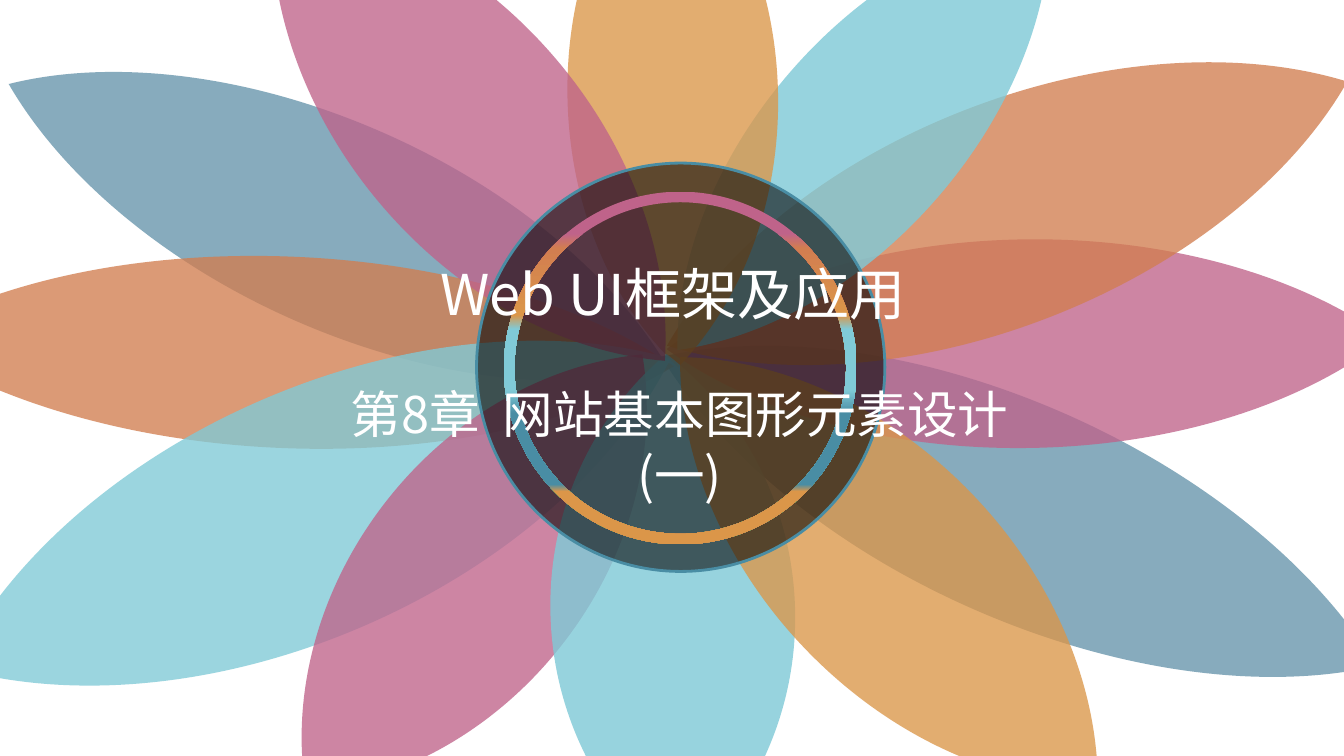
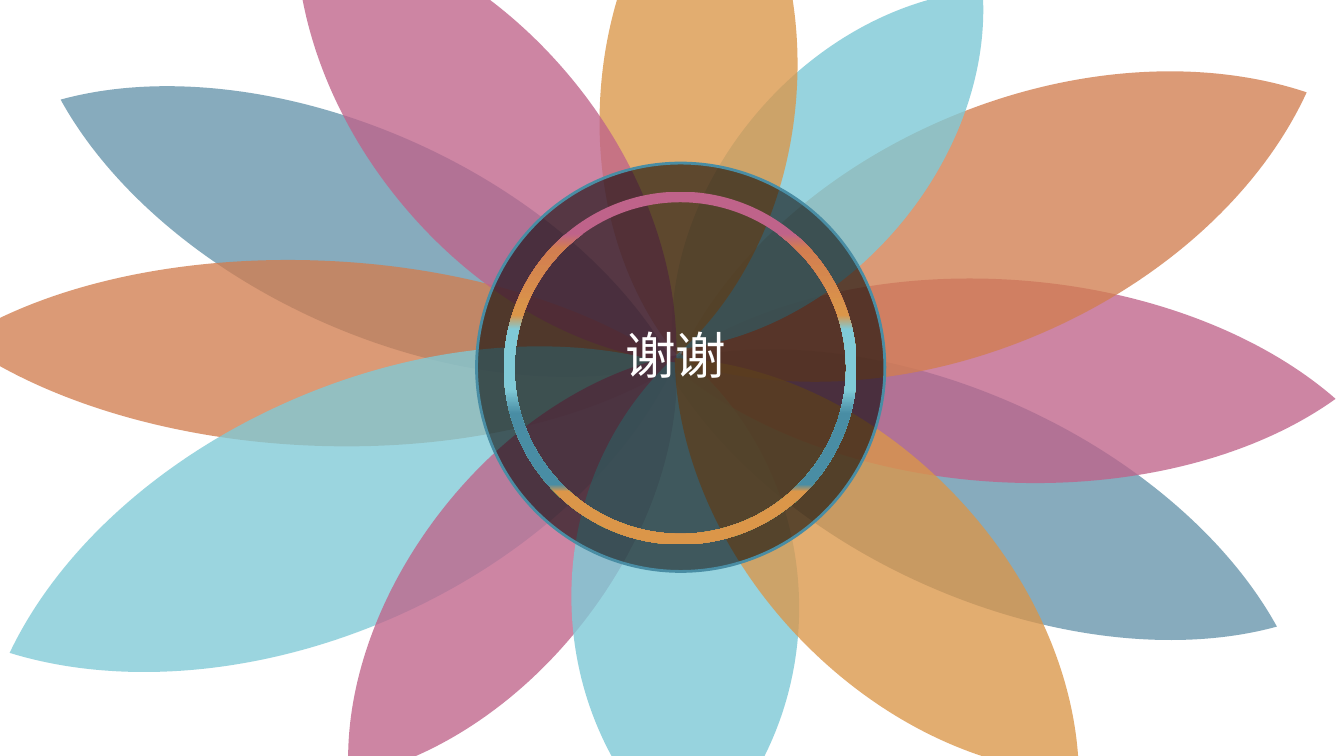
from dataclasses import dataclass

from lxml.etree import SubElement
from pptx import Presentation
from pptx.dml.color import RGBColor
from pptx.enum.shapes import MSO_SHAPE
from pptx.enum.text import MSO_ANCHOR, MSO_AUTO_SIZE, PP_ALIGN
from pptx.oxml.ns import qn
from pptx.util import Cm, Pt

# Shared style
FONT = "Noto Sans CJK SC"
COLORS = {
    "slate": "6694AB", "rust": "D27E50", "pink": "BF638A", "aqua": "80CAD7",
    "amber": "DB9649", "teal": "498DA4", "black": "000000", "white": "FFFFFF",
}
# Colour and opacity (percent) of each petal, from back to front
PETAL_FILLS = [
    ("slate", 78), ("slate", 78), ("rust", 78), ("pink", 78),
    ("aqua", 78), ("rust", 78), ("pink", 78), ("aqua", 81),
    ("amber", 78), ("aqua", 81), ("pink", 78), ("amber", 78),
]
# Half of a petal outline as fractions of its box: top tip, then two Bézier curves
PETAL_TIP = (0.474, 0)
PETAL_SIDE = [(0.794, 0.117), (1, 0.303), (1, 0.512),
              (1, 0.705), (0.82, 0.882), (0.526, 1)]
RING_STOPS = [
    (0, "pink"), (12, "pink"), (16, "rust"), (35, "amber"), (39, "aqua"), (56, "aqua"),
    (63, "teal"), (83, "teal"), (85, "amber"), (100, "amber"),
]
FRAME_FORMAT = {
    "word_wrap": True,
    "auto_size": MSO_AUTO_SIZE.SHAPE_TO_FIT_TEXT,
    "vertical_anchor": MSO_ANCHOR.TOP,
}


@dataclass(frozen=True)
class Petal:
    """Unrotated box in centimetres and clockwise angle in degrees."""
    left: float
    top: float
    width: float
    height: float
    angle: float


@dataclass(frozen=True)
class Label:
    text: str
    left: float
    top: float
    width: float
    height: float
    size: float


@dataclass(frozen=True)
class Page:
    petals: list[Petal]
    labels: list[Label]


PAGES = [
    Page(
        petals=[
            Petal(5.92, -3.35, 5.23, 18.11, 294.2),
            Petal(22.96, 3.07, 5.44, 19.63, 294.2),
            Petal(4.83, -0.86, 4.83, 19.48, 92.8),
            Petal(23.24, -0.41, 5.26, 18.14, 270),
            Petal(4.75, 3.1, 6.25, 19.66, 247.6),
            Petal(22.56, -3.81, 5.64, 18.39, 69.7),
            Petal(9.09, 7.49, 5.72, 13.89, 218.8),
            Petal(19.33, -3.78, 4.88, 14.35, 221.9),
            Petal(14.3, -4.42, 5.31, 13.67, 0),
            Petal(13.87, 8.92, 6.17, 12.98, 0),
            Petal(8.94, -4.27, 5.74, 15.19, 320.5),
            Petal(19.53, 6.86, 5.74, 15.09, 136.9),
        ],
        labels=[
            Label("第8章  网站基本图形元素设计(一)", 7.59, 9.53, 19.08, 1.8, 36.1),
            Label("Web UI框架及应用", 10.36, 6.4, 13.21, 1.98, 40.1),
        ],
    ),
    Page(
        petals=[
            Petal(6.71, -2.57, 5.08, 16.81, 294.2),
            Petal(21.92, 4.06, 5.08, 16.81, 294.2),
            Petal(5.66, -0.13, 4.67, 18.06, 92.8),
            Petal(22.71, 1.19, 5.11, 16.81, 274),
            Petal(5.59, 3.71, 6.05, 18.24, 247.6),
            Petal(22.05, -2.9, 5.92, 17.22, 67.9),
            Petal(10.64, 7.54, 4.55, 13.46, 218.8),
            Petal(18.57, -1.7, 4.57, 11.96, 221.9),
            Petal(15.14, -4.27, 4.93, 13.23, 5.9),
            Petal(14.4, 8.89, 5.74, 12.57, 0),
            Petal(9.6, -3.81, 5.31, 14.71, 320.5),
            Petal(19.43, 6.96, 5.33, 14.61, 136.9),
        ],
        labels=[Label("谢谢", 13.34, 8.05, 7.39, 1.8, 36.1)],
    ),
]


def rgb(name: str) -> RGBColor:
    return RGBColor.from_string(COLORS[name])


def fill_shape(sp, color: str, opacity: int) -> None:
    """Flat translucent fill without shadow or line."""
    sp.shadow.inherit = False
    sp.fill.solid()
    sp.fill.fore_color.rgb = rgb(color)
    clr = sp._element.spPr.find(qn("a:solidFill"))[0]
    SubElement(clr, qn("a:alpha"), val=str(opacity * 1000))
    sp.line.fill.background()


def curve_outline(sp) -> None:
    """Turn each three line segments into one Bézier curve."""
    outline = next(sp._element.iter(qn("a:path")))
    lines = outline.findall(qn("a:lnTo"))
    for i in range(0, len(lines), 3):
        curve = outline.makeelement(qn("a:cubicBezTo"))
        lines[i].addprevious(curve)
        for line in lines[i:i + 3]:
            curve.append(line[0])
            outline.remove(line)


def add_petal(shapes, petal: Petal, color: str, opacity: int) -> None:
    # The second side is the first one turned half round
    other_side = [(1 - x, 1 - y) for x, y in PETAL_SIDE]
    start, *points = [
        (Cm(petal.left + x * petal.width), Cm(petal.top + y * petal.height))
        for x, y in [PETAL_TIP, *PETAL_SIDE, *other_side]
    ]
    builder = shapes.build_freeform(*start)
    builder.add_line_segments(points, close=True)
    sp = builder.convert_to_shape()
    curve_outline(sp)
    sp.rotation = petal.angle
    fill_shape(sp, color, opacity)


def add_medallion(s) -> None:
    """Dark disc with a gradient ring."""
    disc = s.shapes.add_shape(MSO_SHAPE.OVAL, Cm(12.01), Cm(4.11), Cm(10.29), Cm(10.29))
    fill_shape(disc, "black", 58)
    disc.line.color.rgb = rgb("teal")
    disc.line.width = Pt(2)

    ring = s.shapes.add_shape(MSO_SHAPE.DONUT, Cm(12.7), Cm(4.83), Cm(8.89), Cm(8.89))
    ring.adjustments[0] = 0.03
    ring.shadow.inherit = False
    ring.line.fill.background()
    ring.fill.gradient()
    grad = ring._element.spPr.find(qn("a:gradFill"))
    stops = grad.find(qn("a:gsLst"))
    for gs in list(stops):
        stops.remove(gs)
    for position, color in RING_STOPS:
        gs = SubElement(stops, qn("a:gs"), pos=str(position * 1000))
        SubElement(gs, qn("a:srgbClr"), val=COLORS[color])
    grad.find(qn("a:lin")).set("ang", str(90 * 60000))


def add_label(s, label: Label) -> None:
    box = (label.left, label.top, label.width, label.height)
    tf = s.shapes.add_textbox(*map(Cm, box)).text_frame
    for name, value in FRAME_FORMAT.items():
        setattr(tf, name, value)
    p = tf.paragraphs[0]
    p.alignment = PP_ALIGN.CENTER
    r = p.add_run()
    r.text = label.text
    for name, value in {"name": FONT, "size": Pt(label.size)}.items():
        setattr(r.font, name, value)
    r.font.color.rgb = rgb("white")
    SubElement(r._r.get_or_add_rPr(), qn("a:ea"), typeface=FONT)


def add_page(prs, page: Page) -> None:
    s = prs.slides.add_slide(prs.slide_layouts[6])
    s.background.fill.solid()
    s.background.fill.fore_color.rgb = rgb("white")
    # Flower, medallion, then text
    flower = s.shapes.add_group_shape()
    for petal, (color, opacity) in zip(page.petals, PETAL_FILLS):
        add_petal(flower.shapes, petal, color, opacity)
    add_medallion(s)
    for label in page.labels:
        add_label(s, label)


def main() -> None:
    prs = Presentation()
    prs.slide_width, prs.slide_height = Cm(33.87), Cm(19.05)
    for page in PAGES:
        add_page(prs, page)
    prs.save("out.pptx")


if __name__ == "__main__":
    main()
